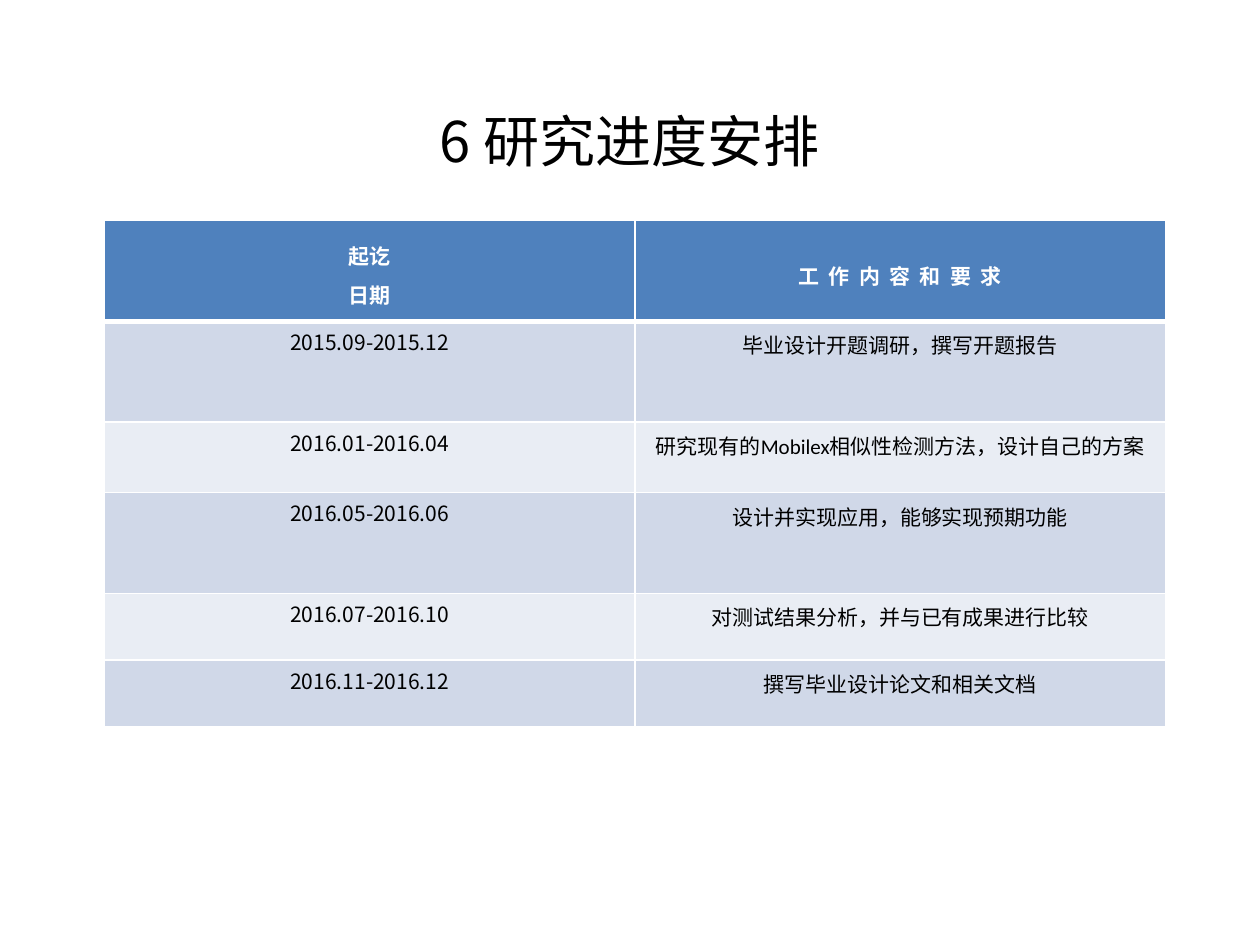
import pptx
import pptx.dml.color
import pptx.enum.text
import pptx.oxml.ns
import pptx.util
from lxml import etree
from pptx.util import Inches

COLORS = {
    "text": "000000",
    "white": "FFFFFF",
    "header": "4F81BD",
    "odd": "D0D8E8",
    "even": "E9EDF4",
}
CJK_FONT = "Noto Sans CJK SC"
ROW_HEIGHTS = [0.8, 0.8, 0.56, 0.8, 0.53, 0.53]
SCHEDULE = [
    ("2015.09-2015.12", "毕业设计开题调研，撰写开题报告", "Calibri"),
    ("2016.01-2016.04", "研究现有的Mobilex相似性检测方法，设计自己的方案", "Calibri"),
    ("2016.05-2016.06", "设计并实现应用，能够实现预期功能", "Calibri"),
    ("2016.07-2016.10", "对测试结果分析，并与已有成果进行比较", "Times New Roman"),
    ("2016.11-2016.12", "撰写毕业设计论文和相关文档", "Times New Roman"),
]


def color(name):
    return pptx.dml.color.RGBColor.from_string(COLORS[name])


def add_run(paragraph, text, size, font, color_name, bold=False):
    paragraph.alignment = pptx.enum.text.PP_ALIGN.CENTER
    run = paragraph.add_run()
    run.text = text
    run.font.size = pptx.util.Pt(size)
    run.font.name = font
    run.font.bold = bold
    run.font.color.rgb = color(color_name)
    properties = run.font._element
    east_asian = etree.SubElement(properties, pptx.oxml.ns.qn("a:ea"))
    east_asian.set("typeface", CJK_FONT)
    return run


def set_borders(cell, bottom_width):
    properties = cell._tc.get_or_add_tcPr()
    widths = {"lnL": 1, "lnR": 1, "lnT": 1, "lnB": bottom_width}
    for index, (side, width) in enumerate(widths.items()):
        line = etree.Element(pptx.oxml.ns.qn(f"a:{side}"), w=str(pptx.util.Pt(width)))
        fill = etree.SubElement(line, pptx.oxml.ns.qn("a:solidFill"))
        etree.SubElement(fill, pptx.oxml.ns.qn("a:srgbClr"), val=COLORS["white"])
        properties.insert(index, line)


def fill_cell(cell, lines, fill, font, text_color, spacing, bold=False, bottom_width=1):
    cell.fill.solid()
    cell.fill.fore_color.rgb = color(fill)
    cell.margin_left = cell.margin_right = Inches(0.07)
    cell.margin_top = cell.margin_bottom = 0
    set_borders(cell, bottom_width)
    runs = []
    for index, text in enumerate(lines):
        frame = cell.text_frame
        paragraph = frame.add_paragraph() if index else frame.paragraphs[0]
        paragraph.line_spacing = pptx.util.Pt(spacing)
        runs.append(add_run(paragraph, text, 12, font, text_color, bold))
    return runs


def add_title(slide, left, top, width, height):
    shape = slide.shapes.add_textbox(left, top, width, height)
    frame = shape.text_frame
    frame.word_wrap = True
    frame.vertical_anchor = pptx.enum.text.MSO_ANCHOR.MIDDLE
    add_run(frame.paragraphs[0], "6 研究进度安排", 32, CJK_FONT, "text")


def add_schedule(slide, left, top, width, height):
    shape = slide.shapes.add_table(len(ROW_HEIGHTS), 2, left, top, width, height)
    table = shape.table
    for row, row_height in zip(table.rows, ROW_HEIGHTS):
        row.height = Inches(row_height)

    headings = [["起讫", "日期"], ["工 作 内 容 和 要 求"]]
    for column, lines in enumerate(headings):
        cell = table.cell(0, column)
        cell.vertical_anchor = pptx.enum.text.MSO_ANCHOR.MIDDLE
        runs = fill_cell(cell, lines, "header", "Times New Roman", "white", 22, True, 3)
    runs[0].font._element.set("spc", "135")

    for row, (dates, work, font) in enumerate(SCHEDULE, start=1):
        fill = "odd" if row % 2 else "even"
        fill_cell(table.cell(row, 0), [dates], fill, CJK_FONT, "text", 20)
        fill_cell(table.cell(row, 1), [work], fill, font, "text", 22)


def main():
    presentation = pptx.Presentation()
    presentation.slide_width = Inches(10)
    presentation.slide_height = Inches(7.5)
    slide = presentation.slides.add_slide(presentation.slide_layouts[6])
    add_title(slide, Inches(0.5), Inches(0.67), Inches(9), Inches(0.88))
    add_schedule(slide, Inches(0.83), Inches(1.75), Inches(8.42), Inches(4.03))
    presentation.save("out.pptx")


if __name__ == "__main__":
    main()
